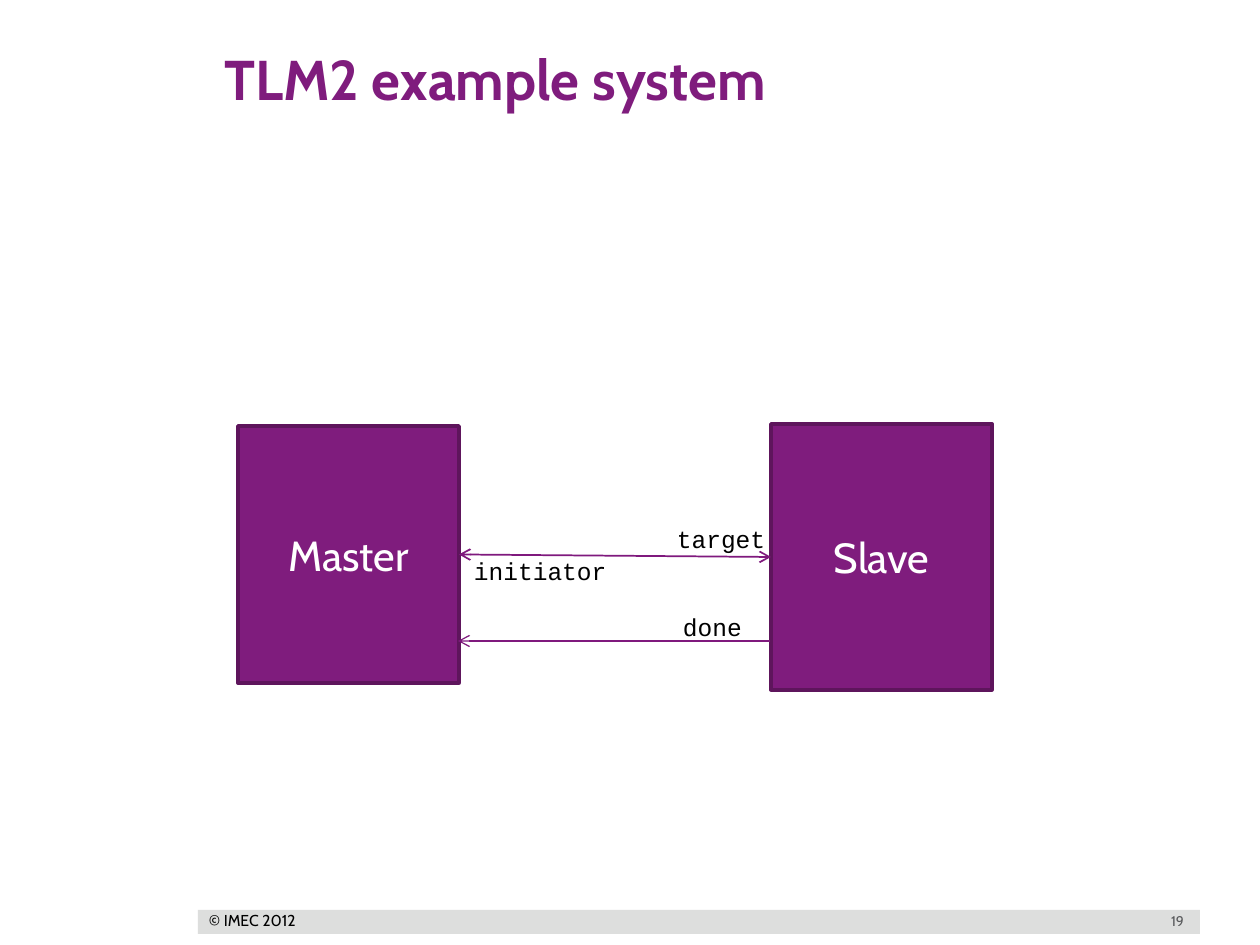
from lxml import etree
from pptx import Presentation
from pptx import util as u
from pptx.dml import color
from pptx.enum import shapes, text
from pptx.oxml import ns

SCALE = u.Inches(1) // 126  # EMU in one px
PURPLE, EDGE, ARROW = "7F1C7D", "5E155C", "7F197D"
BLACK, WHITE, GREY, BAR = "000000", "FFFFFF", "58595B", "DDDEDD"
SANS, MONO = "Cabin", "Courier New"
ALIGN, ANCHOR = text.PP_ALIGN, text.MSO_ANCHOR


def px(*lengths):
    return [u.Emu(length * SCALE) for length in lengths]


def rgb(code):
    return color.RGBColor.from_string(code)


def set_text(shape, words, size, code, font=SANS, bold=False, align=ALIGN.LEFT,
             anchor=ANCHOR.TOP, wrap=True, insets=(13, 6, 13, 6)):
    frame = shape.text_frame
    frame.text = words
    frame.word_wrap = wrap
    frame.auto_size = text.MSO_AUTO_SIZE.NONE
    frame.vertical_anchor = anchor
    (frame.margin_left, frame.margin_top,
     frame.margin_right, frame.margin_bottom) = px(*insets)
    paragraph = frame.paragraphs[0]
    paragraph.alignment = align
    run_font = paragraph.runs[0].font
    run_font.name, run_font.size, run_font.bold = font, u.Pt(size), bold
    run_font.color.rgb = rgb(code)


def add_title(slide, words, box):
    title = slide.shapes.title
    title.left, title.top, title.width, title.height = px(*box)
    set_text(title, words, 32, PURPLE, bold=True, insets=(25, 6, 13, 6))


def add_label(slide, words, box, size=14, code=BLACK, font=MONO, **layout):
    set_text(slide.shapes.add_textbox(*px(*box)), words, size, code, font, **layout)


def add_rectangle(slide, box, fill, edge=None):
    shape = slide.shapes.add_shape(shapes.MSO_SHAPE.RECTANGLE, *px(*box))
    shape.shadow.inherit = False
    shape.fill.solid()
    shape.fill.fore_color.rgb = rgb(fill)
    if edge:
        shape.line.color.rgb = rgb(edge)
        shape.line.width = u.Pt(2)
    else:
        shape.line.fill.background()
    return shape


def add_module(slide, name, box):
    module = add_rectangle(slide, box, PURPLE, EDGE)
    set_text(module, name, 24, WHITE, align=ALIGN.CENTER, anchor=ANCHOR.MIDDLE)
    return module


def add_arrow(slide, start, end, width, ends):
    arrow = slide.shapes.add_connector(
        shapes.MSO_CONNECTOR.STRAIGHT, *px(*start, *end))
    arrow.line.color.rgb = rgb(ARROW)
    arrow.line.width = u.Pt(width)
    line = arrow.line._get_or_add_ln()
    for tag in ends:
        etree.SubElement(line, ns.qn(tag), type="arrow")
    etree.SubElement(line.getparent(), ns.qn("a:effectLst"))
    return arrow


def main():
    presentation = Presentation()
    presentation.slide_width, presentation.slide_height = px(1260, 945)
    slide = presentation.slides.add_slide(presentation.slide_layouts[5])

    # Footer
    add_rectangle(slide, (198, 910, 1002, 24), BAR)
    add_label(slide, "19", (1129, 909, 68, 24), 8, GREY, SANS,
              align=ALIGN.RIGHT, anchor=ANCHOR.MIDDLE)
    add_label(slide, "© IMEC 2012", (209, 911, 88, 19), 9, BLACK, SANS,
              anchor=ANCHOR.MIDDLE, wrap=False, insets=(0, 0, 0, 0))

    add_title(slide, "TLM2 example system", (199, 38, 998, 134))

    # Modules
    master = add_module(slide, "Master", (238, 426, 221, 257))
    slave = add_module(slide, "Slave", (771, 424, 221, 266))

    # Signals between the modules
    add_arrow(slide, (770, 641), (458, 641), 0.75, ["a:tailEnd"])
    socket = add_arrow(slide, (459, 554), (771, 557), 1, ["a:headEnd", "a:tailEnd"])
    socket.begin_connect(master, 3)
    socket.end_connect(slave, 1)

    # Port names
    for name, box in (("done", (670, 606, 95, 43)),
                      ("initiator", (461, 550, 174, 43)),
                      ("target", (664, 518, 125, 43))):
        add_label(slide, name, box)

    presentation.save("out.pptx")


if __name__ == "__main__":
    main()
